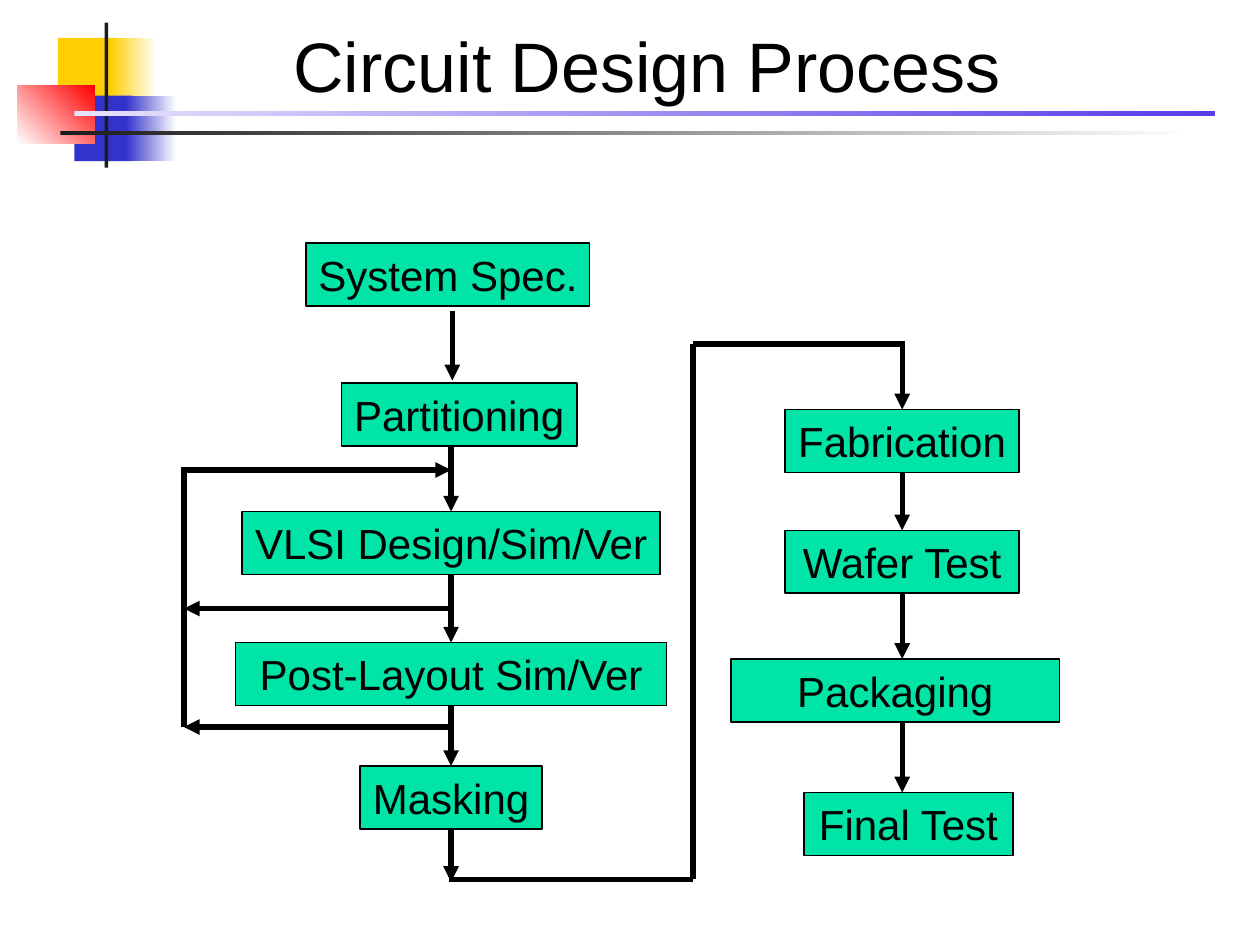
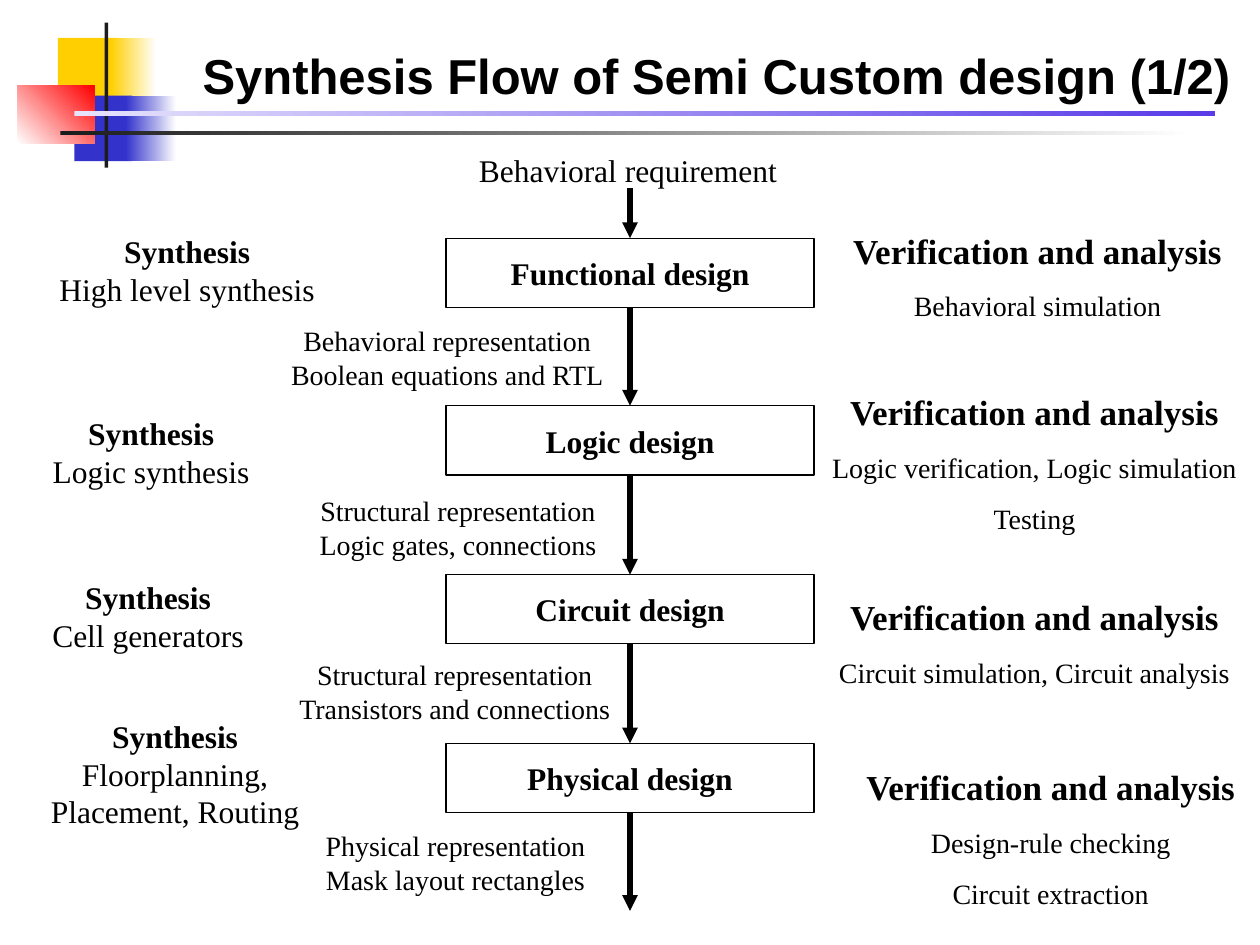
from lxml import etree
from pptx import Presentation
from pptx import util as u
from pptx.dml import color
from pptx.enum import shapes, text
from pptx.oxml import ns

BLACK, WHITE, GREEN = "000000", "FFFFFF", "00E4A8"
YELLOW, BLUE, RED, DARK = "FFCF01", "3333CC", "FF0000", "1C1C1C"
SANS, SERIF = "Arial", "Times New Roman"
BOTTOM, TOP = 2, 0


def rgb(value):
    return color.RGBColor.from_string(value)


def lengths(*values):
    return [u.Inches(value) for value in values]


def write(frame, rows, font=SERIF, size=18, bold=False, align="CENTER",
          anchor="TOP", wrap=True):
    """Fill a frame; a row is text, or text with its own size, bold and space before."""
    frame.word_wrap = wrap
    frame.vertical_anchor = getattr(text.MSO_ANCHOR, anchor)
    for index, row in enumerate(rows):
        words, own = (row, {}) if isinstance(row, str) else row
        para = frame.paragraphs[0] if index == 0 else frame.add_paragraph()
        para.alignment = getattr(text.PP_ALIGN, align)
        para.space_before = u.Pt(own.get("before", 0))
        span = para.add_run()
        span.text = words
        span.font.name = font
        span.font.size = u.Pt(own.get("size", size))
        span.font.bold = own.get("bold", bold)
        span.font.color.rgb = rgb(BLACK)


def add_text(page, at, rows, **style):
    box = page.shapes.add_textbox(*lengths(*at))
    write(box.text_frame, rows, **style)


def add_box(page, at, fill, fade_to=None, angle=0, border=None):
    box = page.shapes.add_shape(shapes.MSO_SHAPE.RECTANGLE, *lengths(*at))
    box.shadow.inherit = False
    if fade_to:
        box.fill.gradient()
        box.fill.gradient_angle = angle
        for position, shade in enumerate((fill, fade_to)):
            stop = box.fill.gradient_stops[position]
            stop.color.rgb = rgb(shade)
            stop.position = position
    else:
        box.fill.solid()
        box.fill.fore_color.rgb = rgb(fill)
    if border:
        box.line.color.rgb = rgb(BLACK)
        box.line.width = u.Pt(border)
    else:
        box.line.fill.background()
    return box


def add_line(page, start, end, arrow=True):
    line = page.shapes.add_connector(
        shapes.MSO_CONNECTOR.STRAIGHT, *lengths(*start, *end))
    line.line.color.rgb = rgb(BLACK)
    line.line.width = u.Pt(3)
    if arrow:
        head = etree.SubElement(line.line._get_or_add_ln(), ns.qn("a:tailEnd"))
        head.set("type", "triangle")
    etree.SubElement(line._element.spPr, ns.qn("a:effectLst"))
    return line


def drop_arrow(page, x, upper, lower):
    """Point straight down at x from a box or height to another, joining boxes centred there."""
    def is_box(stop):
        return not isinstance(stop, (int, float))

    def centred(stop):
        middle = (stop.left + stop.width / 2) / u.Inches(1)
        return abs(middle - x) < 0.001

    start = (upper.top + upper.height) / u.Inches(1) if is_box(upper) else upper
    end = lower.top / u.Inches(1) if is_box(lower) else lower
    line = add_line(page, (x, start), (x, end))
    if is_box(upper) and centred(upper):
        line.begin_connect(upper, BOTTOM)
    if is_box(lower) and centred(lower):
        line.end_connect(lower, TOP)


def add_page(deck):
    """Add a page with the coloured corner squares and the two header rules."""
    page = deck.slides.add_slide(deck.slide_layouts[6])
    add_box(page, (0.46, 0.3, 0.48, 0.52), YELLOW)
    add_box(page, (0.88, 0.3, 0.36, 0.52), YELLOW, WHITE)
    add_box(page, (0.59, 0.76, 0.46, 0.52), BLUE)
    add_box(page, (1, 0.76, 0.4, 0.52), BLUE, WHITE)
    add_box(page, (0.14, 0.68, 0.61, 0.46), WHITE, RED, angle=45)
    add_box(page, (0.83, 0.18, 0.03, 1.15), DARK)
    add_box(page, (0.48, 1.04, 9, 0.03), DARK, WHITE)
    add_box(page, (0.59, 0.88, 9.05, 0.04), "E7E3FC", "593CE8")
    return page


def add_title(page, at, words, **style):
    add_text(page, at, [words], font=SANS, align="LEFT", **style)


def add_steps(page, steps):
    """Draw green process steps given as label, left, top and width."""
    boxes = []
    for label, left, top, width in steps:
        box = add_box(page, (left, top, width, 0.5), GREEN, border=1)
        write(box.text_frame, [label], font=SANS, size=24, wrap=False)
        boxes.append(box)
    return boxes


def add_feedback(page, left, right, back, exits):
    """Draw the loop that leaves at each exit height and returns at back."""
    add_line(page, (left, back), (left, exits[-1]), arrow=False)
    add_line(page, (left - 0.02, back), (right, back))
    for height in exits:
        add_line(page, (right, height), (left, height))


def build_process(deck):
    page = add_page(deck)
    add_title(page, (2.23, 0.1, 9, 0.83), "Circuit Design Process",
              size=40, anchor="MIDDLE")
    system, partition, vlsi, layout, masking = add_steps(page, [
        ("System Spec.", 2.43, 1.93, 2.25),
        ("Partitioning", 2.71, 3.04, 1.87),
        ("VLSI Design/Sim/Ver", 1.92, 4.06, 3.32),
        ("Post-Layout Sim/Ver", 1.87, 5.1, 3.42),
        ("Masking", 2.86, 6.08, 1.44),
    ])
    fabrication, wafer, packaging, final = add_steps(page, [
        ("Fabrication", 6.23, 3.25, 1.86),
        ("Wafer Test", 6.23, 4.21, 1.86),
        ("Packaging", 5.8, 5.23, 2.61),
        ("Final Test", 6.38, 6.29, 1.66),
    ])
    design_x, chip_x, riser_x = 3.58, 7.16, 5.5
    upper_y, lower_y = 2.73, 6.98
    for x, upper, lower in [
        (3.59, 2.47, 3.02),
        (design_x, partition, vlsi),
        (design_x, vlsi, layout),
        (design_x, layout, masking),
        (design_x, masking, lower_y + 0.02),
        (chip_x, upper_y, fabrication),
        (chip_x, fabrication, wafer),
        (chip_x, wafer, packaging),
        (chip_x, packaging, final),
    ]:
        drop_arrow(page, x, upper, lower)
    add_feedback(page, 1.46, design_x, 3.73, (4.83, 5.77))
    route = [(design_x - 0.02, lower_y), (riser_x, lower_y),
             (riser_x, upper_y), (chip_x + 0.02, upper_y)]
    for start, end in zip(route, route[1:]):
        add_line(page, start, end, arrow=False)


def add_stages(page, left, stages):
    """Draw a column of framed design stages given as label and top."""
    boxes = []
    for label, top in stages:
        box = add_box(page, (left, top, 2.92, 0.55), WHITE, border=0.75)
        write(box.text_frame, [label], bold=True, anchor="MIDDLE", wrap=False)
        boxes.append(box)
    return boxes


def add_representations(page, entries):
    for at, rows in entries:
        box = add_box(page, at, WHITE)
        write(box.text_frame, rows, size=16)


def add_syntheses(page, entries):
    for at, rows in entries:
        add_text(page, at, [("Synthesis", {"bold": True}), *rows])


def add_verifications(page, entries):
    heading = ("Verification and analysis", {"size": 20, "bold": True})
    for at, rows in entries:
        add_text(page, at, [heading] + [(row, {"before": 10}) for row in rows],
                 size=16)


def build_flow(deck):
    page = add_page(deck)
    add_title(page, (1.51, 0.31, 8.48, 0.57),
              "Synthesis Flow of Semi Custom design (1/2)",
              size=28, bold=True)
    add_text(page, (3.22, 1.15, 3.53, 0.4), ["Behavioral requirement"])
    stages = add_stages(page, 3.54, [
        ("Functional design", 1.89),
        ("Logic design", 3.22),
        ("Circuit design", 4.56),
        ("Physical design", 5.9),
    ])
    add_representations(page, [
        ((2.17, 2.52, 2.76, 0.64),
         ["Behavioral representation", "Boolean equations and RTL"]),
        ((2.31, 3.87, 2.65, 0.64),
         ["Structural representation", "Logic gates, connections"]),
        ((2.06, 5.17, 3.1, 0.64),
         ["Structural representation", "Transistors and connections"]),
        ((2.11, 6.53, 3.01, 0.64),
         ["Physical representation", "Mask layout rectangles"]),
    ])
    add_syntheses(page, [
        ((0.19, 1.79, 2.59, 0.7), ["High level synthesis"]),
        ((0.1, 3.24, 2.2, 0.7), ["Logic synthesis"]),
        ((0.27, 4.54, 1.81, 0.7), ["Cell generators"]),
        ((0.26, 5.64, 2.26, 1), ["Floorplanning,", "Placement, Routing"]),
    ])
    add_verifications(page, [
        ((6.53, 1.77, 3.41, 0.84), ["Behavioral simulation"]),
        ((6.42, 3.05, 3.58, 1.25),
         ["Logic verification, Logic simulation", "Testing"]),
        ((6.42, 4.68, 3.58, 0.84), ["Circuit simulation, Circuit analysis"]),
        ((6.46, 6.03, 3.76, 1.25),
         ["Design-rule checking", "Circuit extraction"]),
    ])
    stops = [1.49, *stages, 7.23]
    for upper, lower in zip(stops, stops[1:]):
        drop_arrow(page, 5, upper, lower)


def main():
    deck = Presentation()
    deck.slide_width, deck.slide_height = lengths(10, 7.5)
    build_process(deck)
    build_flow(deck)
    deck.save("out.pptx")


if __name__ == "__main__":
    main()
